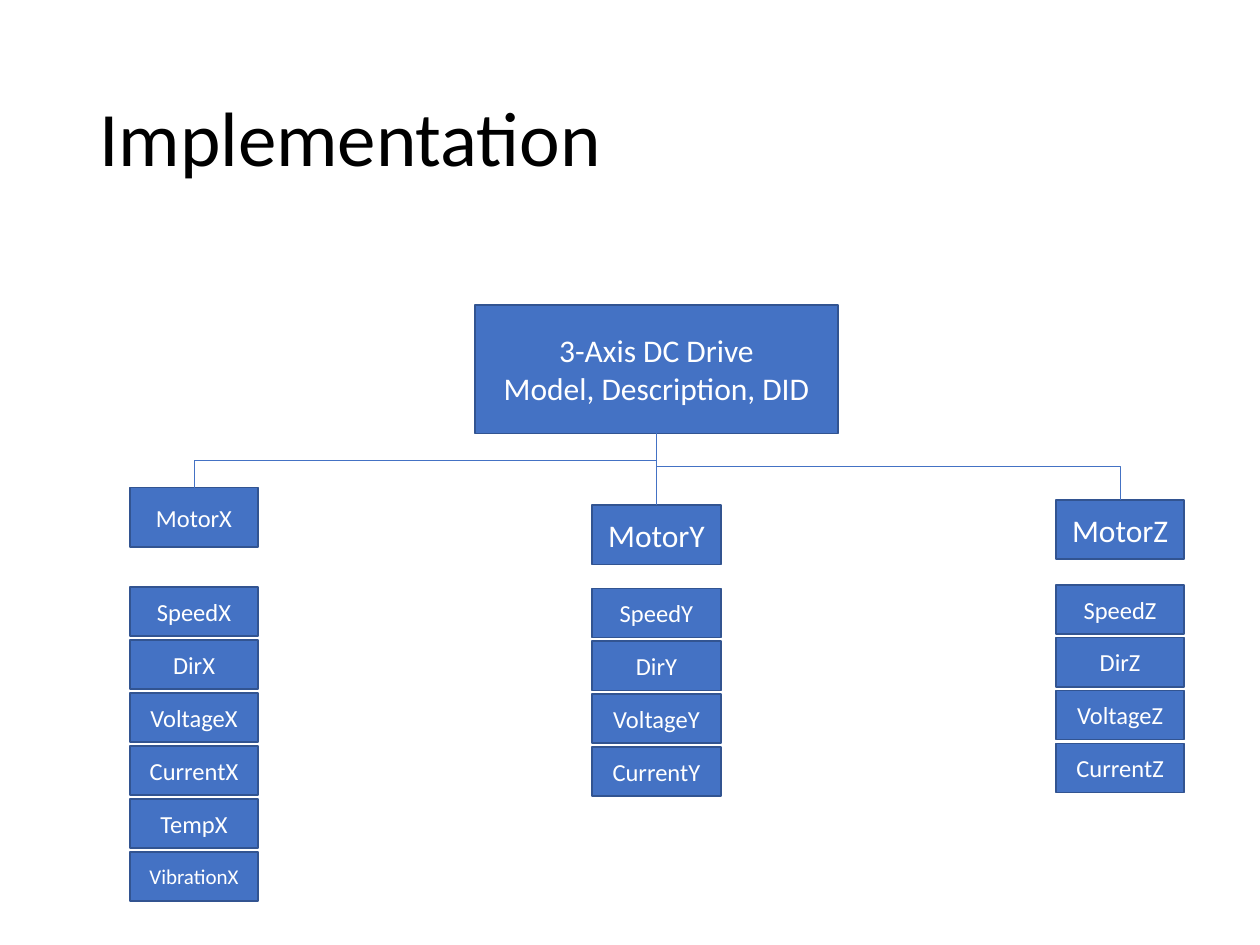
import pptx
import pptx.dml.color
import pptx.enum.shapes
import pptx.enum.text
import pptx.oxml.ns
import pptx.util
from lxml import etree

Inches = pptx.util.Inches
Pt = pptx.util.Pt
qn = pptx.oxml.ns.qn
CONNECTOR = pptx.enum.shapes.MSO_CONNECTOR

COLORS = {"box": "4472C4", "border": "325491", "text": "FFFFFF", "title": "000000"}
FONT = "Calibri"
BOX_W, MOTOR_H, SIGNAL_H, PITCH = 1.02, 0.47, 0.39, 0.42
SIGNALS = ["Speed", "Dir", "Voltage", "Current"]
AXES = [
    ("X", 1.03, 3.87, 4.66, 14, SIGNALS + ["Temp", "Vibration"]),
    ("Y", 4.7, 4.01, 4.67, 18, SIGNALS),
    ("Z", 8.38, 3.97, 4.64, 18, SIGNALS),
]


def rgb(name):
    return pptx.dml.color.RGBColor.from_string(COLORS[name])


def write_text(sp, lines, size, color, align):
    tf = sp.text_frame
    tf.word_wrap = True
    tf.vertical_anchor = pptx.enum.text.MSO_ANCHOR.MIDDLE
    tf.text = "\n".join(lines)
    for p in tf.paragraphs:
        p.alignment = align
        p.font.name = FONT
        p.font.size = Pt(size)
        p.font.color.rgb = rgb(color)
    return tf


def add_title(s, text):
    sp = s.shapes.add_textbox(Inches(0.69), Inches(0.4), Inches(8.62), Inches(1.45))
    tf = write_text(sp, [text], 44, "title", pptx.enum.text.PP_ALIGN.LEFT)
    tf.paragraphs[0].line_spacing = 0.9


def add_box(s, left, top, width, height, lines, size):
    sp = s.shapes.add_shape(
        pptx.enum.shapes.MSO_SHAPE.RECTANGLE,
        Inches(left), Inches(top), Inches(width), Inches(height),
    )
    sp.shadow.inherit = False
    sp.fill.solid()
    sp.fill.fore_color.rgb = rgb("box")
    sp.line.color.rgb = rgb("border")
    sp.line.width = Pt(1)
    write_text(sp, lines, size, "text", pptx.enum.text.PP_ALIGN.CENTER)
    return sp


def add_branch(s, parent, child):
    x1, y1 = parent.left + parent.width // 2, parent.top + parent.height
    x2, y2 = child.left + child.width // 2, child.top
    dx, dy = x2 - x1, y2 - y1
    bent = abs(dx) > Inches(0.02)
    kind = CONNECTOR.ELBOW if bent else CONNECTOR.STRAIGHT
    cxn = s.shapes.add_connector(kind, x1, y1, x2, y2)
    cxn.begin_connect(parent, 2)
    cxn.end_connect(child, 0)
    cxn.line.color.rgb = rgb("box")
    cxn.line.width = Pt(0.5)
    props = cxn._element.spPr
    etree.SubElement(props, qn("a:effectLst"))
    if bent:
        cxn.width, cxn.height = dy, abs(dx)
        cxn.left = (x1 + x2 - dy) // 2
        cxn.top = (y1 + y2 - abs(dx)) // 2
        xfrm = props.find(qn("a:xfrm"))
        xfrm.attrib.pop("flipH", None)
        xfrm.set("rot", str((90 if dx < 0 else 270) * 60000))
        if dx > 0:
            xfrm.set("flipH", "1")


def add_axis(s, drive, axis, left, motor_top, signal_top, size, signals):
    motor = add_box(s, left, motor_top, BOX_W, MOTOR_H, ["Motor" + axis], size)
    for i, signal in enumerate(signals):
        signal_size = 12 if signal == "Vibration" else 14
        add_box(s, left, signal_top + i * PITCH, BOX_W, SIGNAL_H,
                [signal + axis], signal_size)
    add_branch(s, drive, motor)


def main():
    prs = pptx.Presentation()
    prs.slide_width, prs.slide_height = Inches(10), Inches(7.5)
    s = prs.slides.add_slide(prs.slide_layouts[6])
    add_title(s, "Implementation")
    drive = add_box(s, 3.77, 2.42, 2.88, 1.02,
                    ["3-Axis DC Drive", "Model, Description, DID"], 18)
    for axis in AXES:
        add_axis(s, drive, *axis)
    prs.save("out.pptx")


if __name__ == "__main__":
    main()
